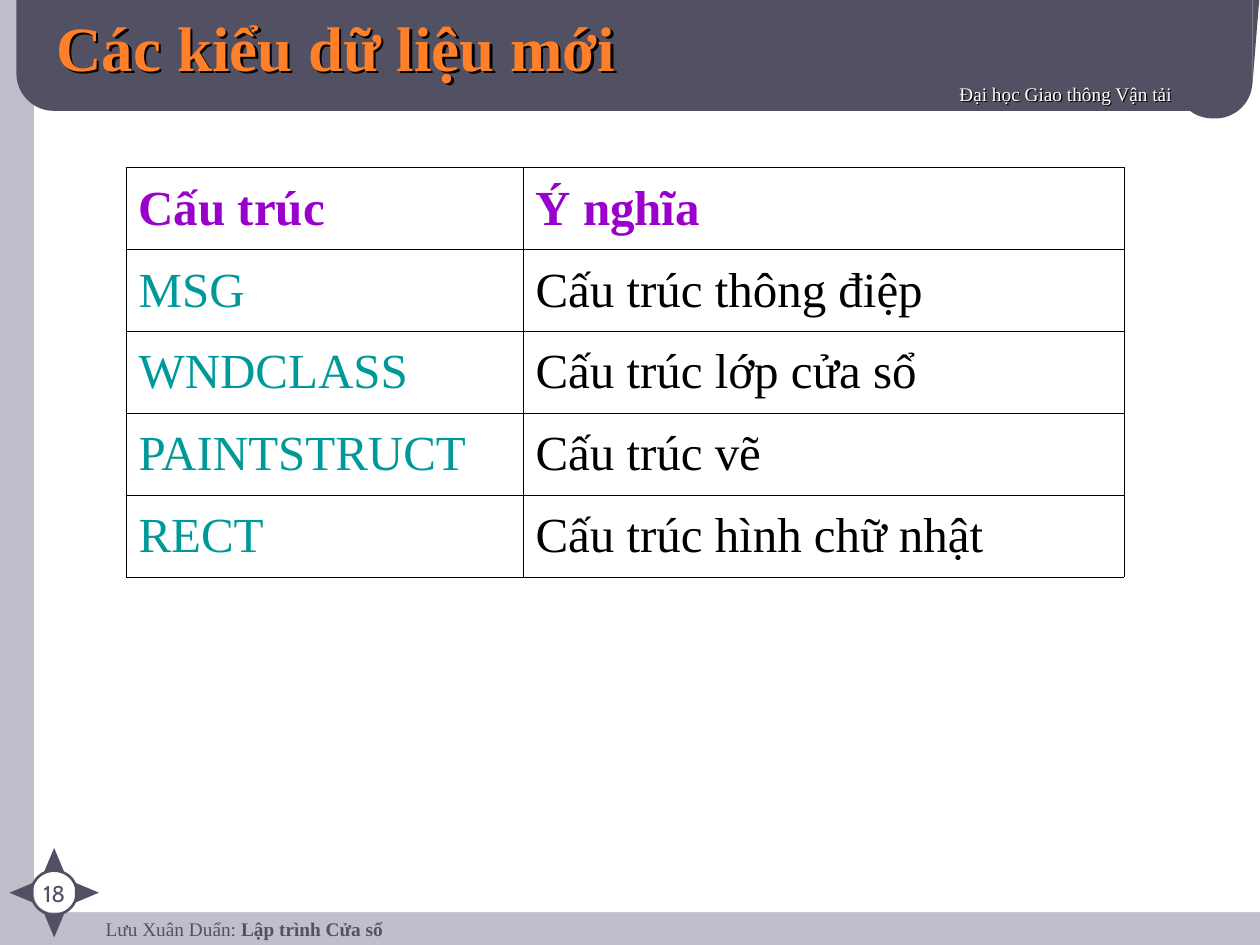
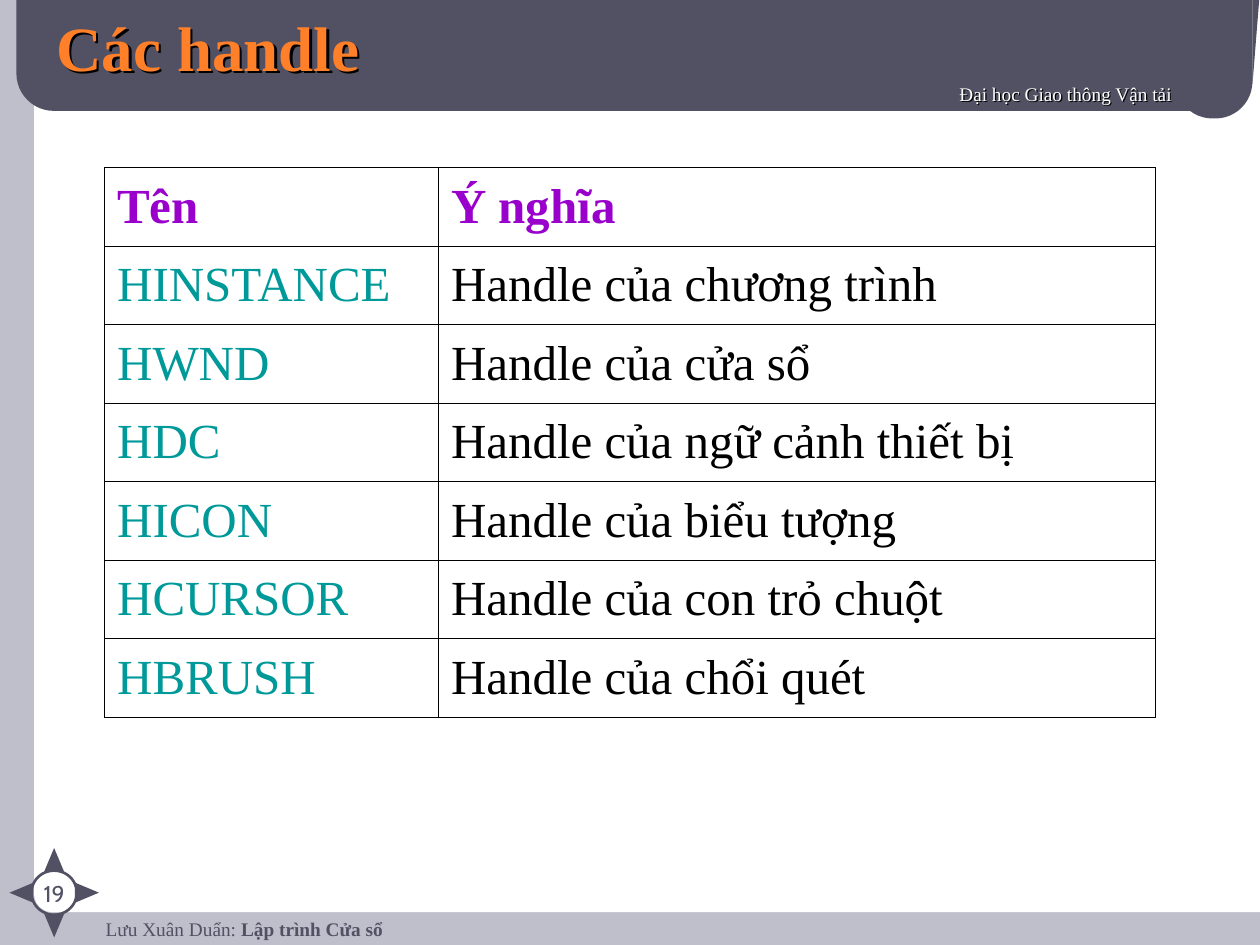
from dataclasses import dataclass
from math import cos, radians, sin

from lxml import etree
from pptx import Presentation
from pptx.dml.color import RGBColor
from pptx.enum.shapes import MSO_SHAPE
from pptx.enum.text import MSO_ANCHOR, PP_ALIGN
from pptx.oxml.ns import qn
from pptx.util import Inches, Pt

ROUNDED, OVAL = MSO_SHAPE.ROUNDED_RECTANGLE, MSO_SHAPE.OVAL
TRIANGLE, RIGHT_TRIANGLE = MSO_SHAPE.ISOSCELES_TRIANGLE, MSO_SHAPE.RIGHT_TRIANGLE
LEFT, CENTER, RIGHT = PP_ALIGN.LEFT, PP_ALIGN.CENTER, PP_ALIGN.RIGHT
TOP, MIDDLE = MSO_ANCHOR.TOP, MSO_ANCHOR.MIDDLE

# The page is a grid of 100 columns by 75 rows of square cells.
COLUMNS, ROWS = 100, 75
CELL = Inches(0.1)


@dataclass(frozen=True)
class Theme:
    margin: str = "BFBFCB"
    paper: str = "FFFFFF"
    slate: str = "515163"
    title: str = "FF8029"
    heading: str = "9900CC"
    term: str = "009999"
    ink: str = "000000"
    serif: str = "Times New Roman"
    number_font: str = "Cabin"
    title_size: int = 36
    table_size: int = 28
    number_size: int = 13
    small_size: int = 11
    border: float = 0.45
    ring: float = 1.5


def grid(*cells):
    return [round(cell * CELL) for cell in cells]


class Lecture:
    def __init__(self, theme):
        self.theme = theme
        self.deck = Presentation()
        self.deck.slide_width, self.deck.slide_height = grid(COLUMNS, ROWS)
        self.page = None

    def new_page(self, title, number):
        self.page = self.deck.slides.add_slide(self.deck.slide_layouts[6])
        background = self.page.background.fill
        background.solid()
        background.fore_color.rgb = RGBColor.from_string(self.theme.margin)
        self.frame()
        self.footer()
        self.compass(number)
        self.heading(title)

    def style(self, para, size, color, bold=None, font=None):
        para.font.name = font or self.theme.serif
        para.font.size = Pt(size)
        para.font.color.rgb = RGBColor.from_string(color)
        para.font.bold = bold

    def shape(self, kind, area, fill=None, line=None, corner=None, turn=0):
        shape = self.page.shapes.add_shape(kind, *grid(*area))
        shape.shadow.inherit = False
        shape.rotation = turn
        if corner is not None:
            shape.adjustments[0] = corner
        if fill:
            shape.fill.solid()
            shape.fill.fore_color.rgb = RGBColor.from_string(fill)
        else:
            shape.fill.background()
        if line:
            shape.line.color.rgb = RGBColor.from_string(line)
            shape.line.width = Pt(self.theme.ring)
        else:
            shape.line.fill.background()

    def text(self, area, spans, size, color, align=LEFT, anchor=TOP,
             inset=0.5, bold=None, font=None):
        """Add one paragraph; spans are (text, bold) pairs."""
        box = self.page.shapes.add_textbox(*grid(*area))
        frame = box.text_frame
        frame.word_wrap = True
        frame.vertical_anchor = anchor
        frame.margin_top, frame.margin_bottom = grid(inset, inset)
        para = frame.paragraphs[0]
        para.alignment = align
        self.style(para, size, color, bold, font)
        for words, strong in spans:
            span = para.add_run()
            span.text = words
            span.font.bold = strong
        return box

    def cast_shadow(self, box, distance):
        """Let the letters of an unfilled box throw a dark shadow."""
        box.shadow.inherit = False
        effects = box.element.spPr.find(qn("a:effectLst"))
        shadow = etree.SubElement(effects, qn("a:outerShdw"), dist=str(Pt(distance)),
                                  dir="2700000", algn="tl", rotWithShape="0")
        etree.SubElement(shadow, qn("a:srgbClr"), val=self.theme.ink)

    def frame(self):
        slate = self.theme.slate
        self.shape(ROUNDED, (2.7, -1.3, 100.1, 73.7), self.theme.paper, corner=0.02)
        self.shape(ROUNDED, (1.3, -3.6, 98.1, 12.4), slate, corner=0.24)
        self.shape(ROUNDED, (93.3, 2.9, 6.1, 6.5), slate, corner=0.48)
        self.shape(RIGHT_TRIANGLE, (95.95, 2.65, 7.5, 0.6), slate, turn=90)

    def footer(self):
        self.text((7.4, 72.8, 77.4, 3.3),
                  [("Lưu Xuân Duẩn: ", None), ("Lập trình Cửa sổ", True)],
                  self.theme.small_size, self.theme.slate, inset=0)

    def compass(self, number):
        """Ring the page number and point a triangle each way."""
        slate = self.theme.slate
        middle, center, reach = 4.3, 70.85, 2.6
        width, height = 1.6, 1.9
        self.text((1.4, 69.3, 5.8, 2.2), [(str(number), None)], self.theme.number_size,
                  slate, CENTER, font=self.theme.number_font)
        self.shape(OVAL, (2.5, 69.1, 3.6, 3.5), line=slate)
        for turn in range(0, 360, 90):
            left = middle + reach * sin(radians(turn)) - width / 2
            top = center - reach * cos(radians(turn)) - height / 2
            self.shape(TRIANGLE, (left, top, width, height), slate, turn=turn)

    def heading(self, title):
        school = self.text((30.3, 6, 63.7, 3.8), [("Đại học Giao thông Vận tải", None)],
                           self.theme.small_size, self.theme.paper, RIGHT)
        self.cast_shadow(school, 1)
        name = self.text((3.5, 0.8, 83.6, 5.7), [(title, None)], self.theme.title_size,
                         self.theme.title, anchor=MIDDLE, bold=True)
        self.cast_shadow(name, 2)

    def outline(self, cell):
        properties = cell._tc.get_or_add_tcPr()
        for side in ("lnL", "lnR", "lnT", "lnB"):
            line = etree.SubElement(properties, qn(f"a:{side}"),
                                    w=str(Pt(self.theme.border)))
            fill = etree.SubElement(line, qn("a:solidFill"))
            etree.SubElement(fill, qn("a:srgbClr"), val=self.theme.ink)

    def table(self, left, top, widths, height, records):
        """Add a two-column table whose first record is the heading."""
        theme = self.theme
        area = grid(left, top, sum(widths), height)
        table = self.page.shapes.add_table(len(records), len(widths), *area).table
        table.first_row = table.horz_banding = False
        for column, width in zip(table.columns, grid(*widths)):
            column.width = width
        for row, record in enumerate(records):
            colors = (theme.term, theme.ink) if row else (theme.heading,) * 2
            for column, (words, color) in enumerate(zip(record, colors)):
                cell = table.cell(row, column)
                self.outline(cell)
                cell.fill.background()
                cell.vertical_anchor = MIDDLE
                cell.text = words
                self.style(cell.text_frame.paragraphs[0], theme.table_size, color,
                           bold=row == 0)


STRUCTURES = [
    ("Cấu trúc", "Ý nghĩa"),
    ("MSG", "Cấu trúc thông điệp"),
    ("WNDCLASS", "Cấu trúc lớp cửa sổ"),
    ("PAINTSTRUCT", "Cấu trúc vẽ"),
    ("RECT", "Cấu trúc hình chữ nhật"),
]
HANDLES = [
    ("Tên", "Ý nghĩa"),
    ("HINSTANCE", "Handle của chương trình"),
    ("HWND", "Handle của cửa sổ"),
    ("HDC", "Handle của ngữ cảnh thiết bị"),
    ("HICON", "Handle của biểu tượng"),
    ("HCURSOR", "Handle của con trỏ chuột"),
    ("HBRUSH", "Handle của chổi quét"),
]


def main():
    lecture = Lecture(Theme())
    lecture.new_page("Các kiểu dữ liệu mới", 18)
    lecture.table(10, 13.3, (31.5, 47.7), 32.5, STRUCTURES)
    lecture.new_page("Các handle", 19)
    lecture.table(8.3, 13.3, (26.5, 56.9), 43.6, HANDLES)
    lecture.deck.save("out.pptx")


if __name__ == "__main__":
    main()
